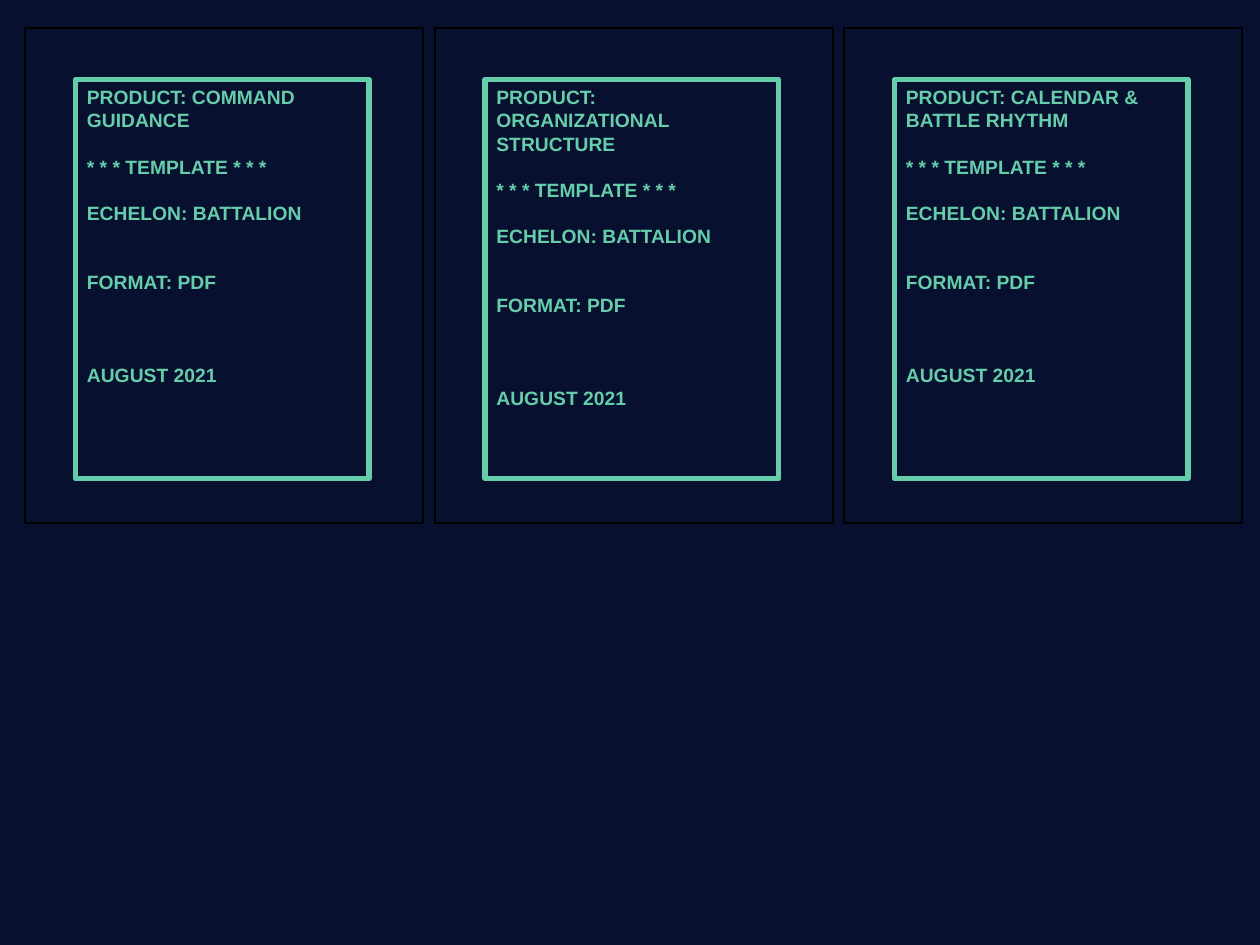
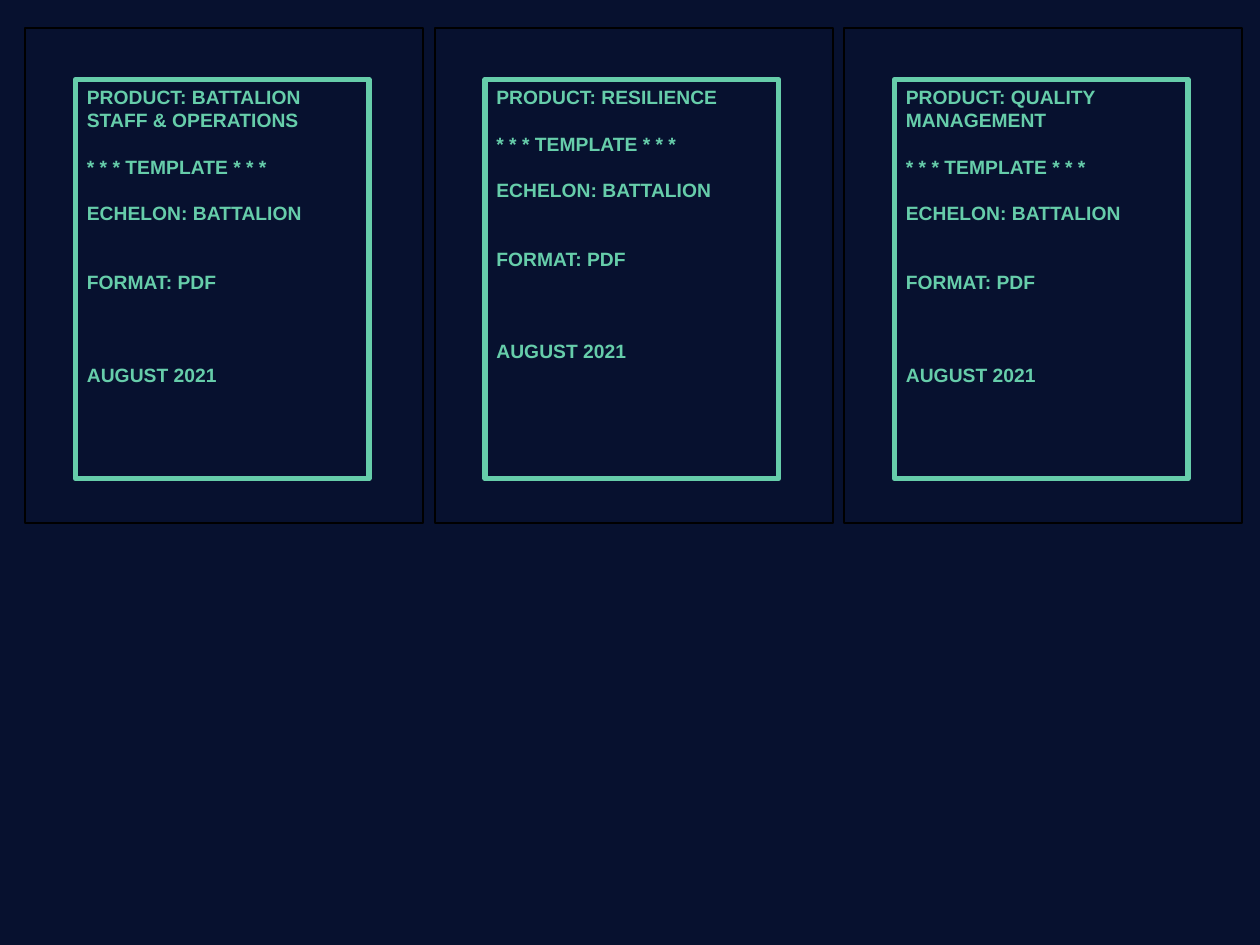
import pptx
import pptx.util
import pptx.dml.color
import pptx.enum.shapes
import pptx.enum.text
from dataclasses import dataclass

Inches = pptx.util.Inches
Pt = pptx.util.Pt
Color = pptx.dml.color.RGBColor


@dataclass(frozen=True)
class Theme:
    background: Color = Color.from_string("07112F")
    accent: Color = Color.from_string("66CDAA")
    outline: Color = Color.from_string("000000")
    font: str = "Arial"
    text_size: float = 11
    line_height: float = 13.2
    label_border: float = 3
    card_border: float = 1


THEME = Theme()

# Card grid and the label inside each card, in inches
CARD_LEFT, CARD_TOP, CARD_WIDTH, CARD_HEIGHT = 0.2, 0.22, 3.16, 3.93
CARD_PITCH = 3.25
LABEL_LEFT, LABEL_TOP, LABEL_WIDTH, LABEL_HEIGHT = 0.4, 0.41, 2.33, 3.17

# Lines below the product name, each with its gap above in text lines
DETAILS = [
    ("* * * TEMPLATE * * *", 1),
    ("ECHELON: BATTALION", 1),
    ("FORMAT: PDF", 2),
    ("AUGUST 2021", 3),
]

SLIDES = [
    ["COMMAND GUIDANCE", "ORGANIZATIONAL STRUCTURE", "CALENDAR & BATTLE RHYTHM"],
    ["BATTALION STAFF & OPERATIONS", "RESILIENCE", "QUALITY MANAGEMENT"],
]


def add_frame(group, left, top, width, height, color, border):
    """Add an unfilled rectangle with a coloured border."""
    shape = group.shapes.add_shape(
        pptx.enum.shapes.MSO_SHAPE.RECTANGLE,
        Inches(left), Inches(top), Inches(width), Inches(height))
    shape.shadow.inherit = False
    shape.fill.background()
    shape.line.color.rgb = color
    shape.line.width = Pt(border)
    return shape


def write_label(shape, product):
    """Write the product name and its details into a label."""
    frame = shape.text_frame
    frame.word_wrap = True
    frame.vertical_anchor = pptx.enum.text.MSO_ANCHOR.TOP
    frame.margin_left = frame.margin_right = Inches(0.09)
    frame.margin_top = frame.margin_bottom = Inches(0.05)
    for index, (text, gap) in enumerate([(f"PRODUCT: {product}", 0)] + DETAILS):
        paragraph = frame.add_paragraph() if index else frame.paragraphs[0]
        paragraph.alignment = pptx.enum.text.PP_ALIGN.LEFT
        paragraph.line_spacing = Pt(THEME.line_height)
        paragraph.space_before = Pt(gap * THEME.line_height)
        run = paragraph.add_run()
        run.text = text
        run.font.name = THEME.font
        run.font.size = Pt(THEME.text_size)
        run.font.bold = True
        run.font.color.rgb = THEME.accent


def add_card(slide, left, top, width, height, product):
    """Group a product label with the outline of its card."""
    group = slide.shapes.add_group_shape()
    label = add_frame(group, left + LABEL_LEFT, top + LABEL_TOP, LABEL_WIDTH,
                      LABEL_HEIGHT, THEME.accent, THEME.label_border)
    write_label(label, product)
    add_frame(group, left, top, width, height, THEME.outline, THEME.card_border)


def add_card_slide(presentation, products):
    """Add a slide with one row of product cards."""
    slide = presentation.slides.add_slide(presentation.slide_layouts[6])
    slide.background.fill.solid()
    slide.background.fill.fore_color.rgb = THEME.background
    for column, product in enumerate(products):
        add_card(slide, CARD_LEFT + column * CARD_PITCH, CARD_TOP,
                 CARD_WIDTH, CARD_HEIGHT, product)


presentation = pptx.Presentation()
presentation.slide_width = Inches(10)
presentation.slide_height = Inches(7.5)
for products in SLIDES:
    add_card_slide(presentation, products)
presentation.save("out.pptx")
